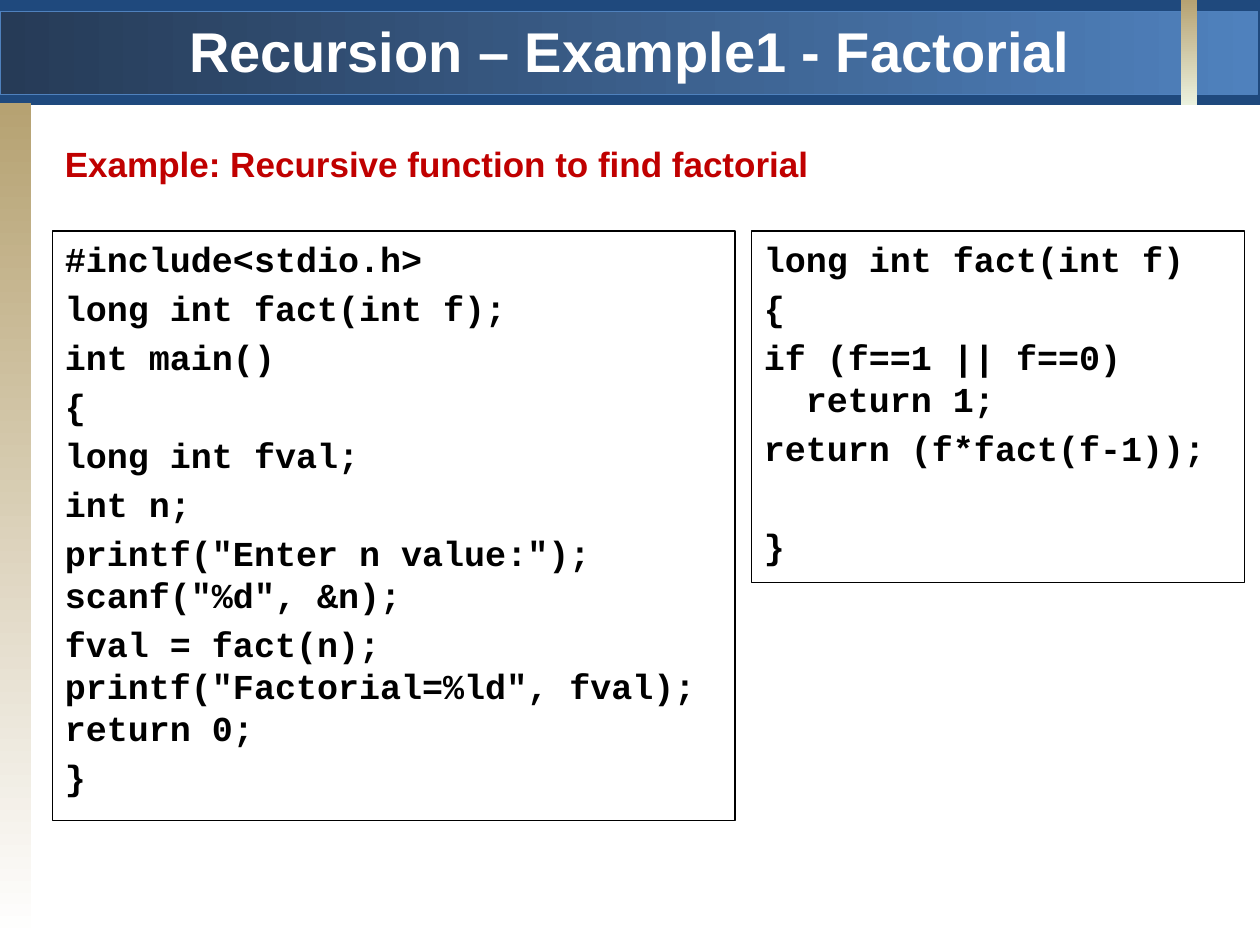
from dataclasses import dataclass

from pptx import Presentation
from pptx.dml.color import RGBColor
from pptx.enum.shapes import MSO_SHAPE
from pptx.enum.text import MSO_ANCHOR, PP_ALIGN
from pptx.util import Pt

RECT = MSO_SHAPE.RECTANGLE
TOP = MSO_ANCHOR.TOP
LEFT, CENTER = PP_ALIGN.LEFT, PP_ALIGN.CENTER

COLORS = {
    "navy": "1F497D",
    "deep": "263B57",
    "blue": "4F81BD",
    "sand": "B6A272",
    "cream": "EBF1DE",
    "white": "FFFFFF",
    "black": "000000",
    "red": "C00000",
}


@dataclass(frozen=True)
class Box:
    left: float
    top: float
    width: float
    height: float

    def lengths(self) -> tuple:
        return tuple(Pt(v) for v in (self.left, self.top, self.width, self.height))


@dataclass(frozen=True)
class Band:
    box: Box
    fill: tuple
    angle: float = 0
    line: str = ""


@dataclass(frozen=True)
class Line:
    text: str
    before: float = 4
    indent: float = 0


@dataclass(frozen=True)
class Listing:
    box: Box
    lines: tuple


BANDS = (
    Band(Box(0, 0, 720, 60), ("navy",)),
    Band(Box(0, 6.5, 718.6, 47.5), ("deep", "blue"), line="blue"),
    Band(Box(0, 59, 18, 478), ("sand", "white"), angle=270),
    Band(Box(675, 0, 9, 60), ("sand", "cream"), angle=270),
)

LISTINGS = (
    Listing(Box(30, 132, 390, 337), (
        Line("#include<stdio.h>"),
        Line("long int fact(int f);"),
        Line("int main()"),
        Line("{"),
        Line("long int fval;"),
        Line("int n;"),
        Line('printf("Enter n value:"); scanf("%d", &n);'),
        Line('fval = fact(n); printf("Factorial=%ld", fval); return 0;'),
        Line("}"),
    )),
    Listing(Box(429.4, 132, 282, 201), (
        Line("long int fact(int f)"),
        Line("{"),
        Line("if (f==1 || f==0)"),
        Line("return 1;", before=0, indent=24),
        Line("return (f*fact(f-1));"),
        Line("}", before=32),
    )),
)


def rgb(name: str) -> RGBColor:
    return RGBColor.from_string(COLORS[name])


def add_rect(slide, box: Box, line: str = ""):
    sp = slide.shapes.add_shape(RECT, *box.lengths())
    sp.shadow.inherit = False
    if line:
        sp.line.color.rgb = rgb(line)
        sp.line.width = Pt(0.75)
    else:
        sp.line.fill.background()
    return sp


def add_band(slide, band: Band) -> None:
    fill = add_rect(slide, band.box, band.line).fill
    if len(band.fill) == 1:
        fill.solid()
        fill.fore_color.rgb = rgb(band.fill[0])
        return
    fill.gradient()
    fill.gradient_angle = band.angle
    for stop, position, name in zip(fill.gradient_stops, (0, 1), band.fill):
        stop.position = position
        stop.color.rgb = rgb(name)


def write(tf, lines: tuple, *, font: str = "Arial", size: float = 20,
          color: str = "black", align=LEFT, wrap: bool = True) -> None:
    tf.word_wrap = wrap
    tf.vertical_anchor = TOP
    for i, line in enumerate(lines):
        p = tf.add_paragraph() if i else tf.paragraphs[0]
        p.alignment = align
        p.space_before = Pt(line.before)
        if line.indent:
            p._p.get_or_add_pPr().set("marL", str(Pt(line.indent)))
        r = p.add_run()
        r.text = line.text
        r.font.name = font
        r.font.size = Pt(size)
        r.font.bold = True
        r.font.color.rgb = rgb(color)


def add_listing(slide, listing: Listing) -> None:
    sp = add_rect(slide, listing.box, "black")
    sp.fill.background()
    write(sp.text_frame, listing.lines, font="Courier New")


def add_label(slide, box: Box, text: str, **fmt) -> None:
    sp = slide.shapes.add_textbox(*box.lengths())
    write(sp.text_frame, (Line(text, before=0),), **fmt)


def main() -> None:
    """Build the recursive factorial slide."""
    prs = Presentation()
    prs.slide_width, prs.slide_height = Pt(720), Pt(540)
    s = prs.slides.add_slide(prs.slide_layouts[6])
    for band in BANDS:
        add_band(s, band)
    for listing in LISTINGS:
        add_listing(s, listing)
    add_label(s, Box(30, 78, 443, 31.5),
              "Example: Recursive function to find factorial",
              color="red", wrap=False)
    add_label(s, Box(0, 6, 720, 42), "Recursion – Example1 - Factorial",
              size=32, color="white", align=CENTER)
    prs.save("out.pptx")


if __name__ == "__main__":
    main()
